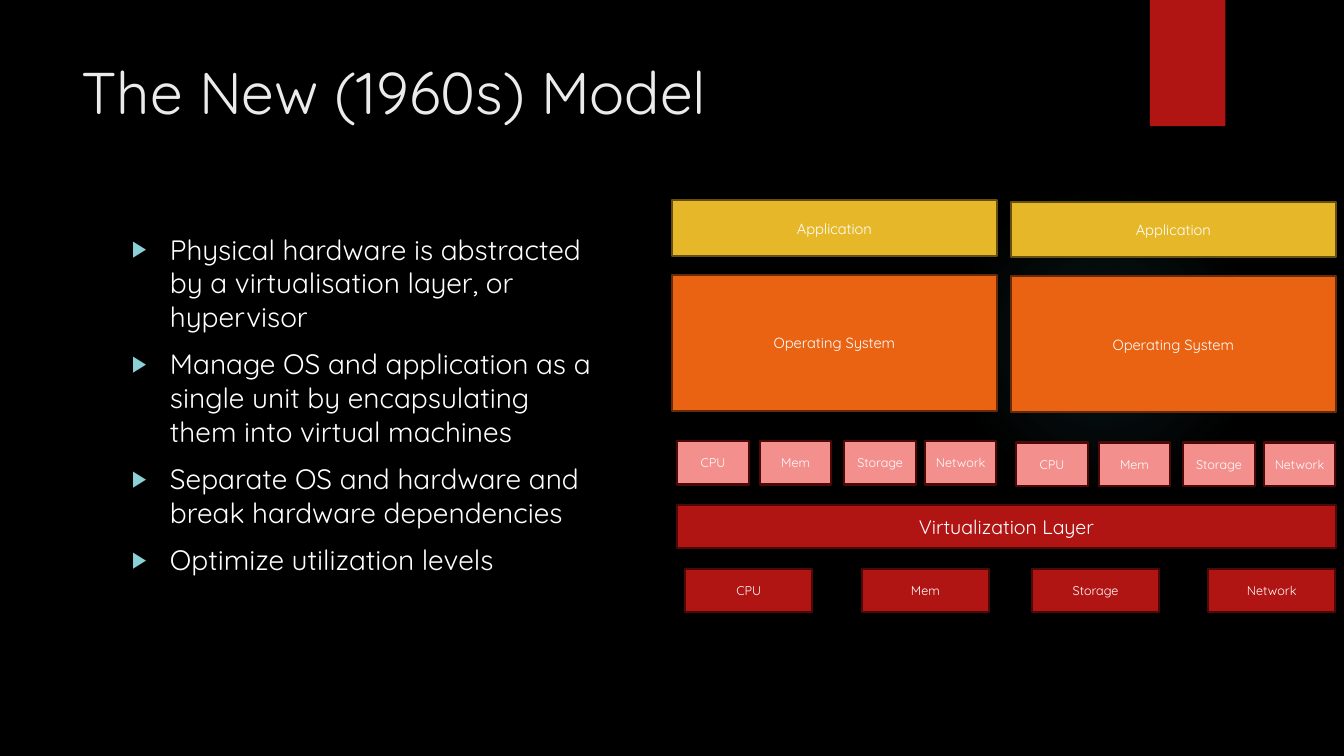
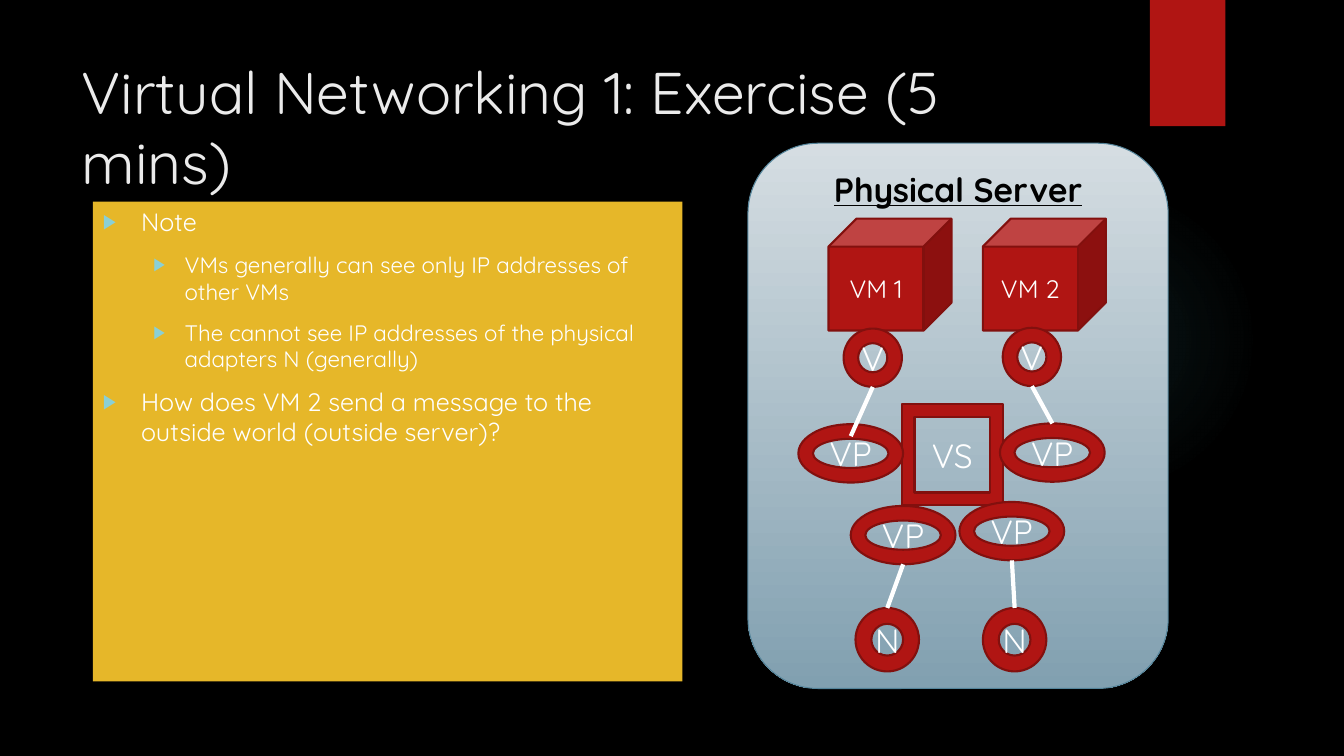
from lxml import etree
from pptx import Presentation
from pptx import util as u
from pptx.dml import color
from pptx.enum import shapes, text
from pptx.oxml import ns

# Shared style
FONT = "Quicksand"
WHITE, BLACK, TITLE = "FFFFFF", "000000", "EBEBEB"
RED, PINK, ORANGE, GOLD = "B01513", "F38F8D", "EA6312", "E6B729"
DARK_RED, DEEP_RED, BROWN, OLIVE = "4D0908", "82100E", "672B08", "655012"
TEAL, BULLET = "50B9C1", "8AD0D6"
MSO = shapes.MSO_SHAPE
TITLE_BOX = (1.8, 1.27, 26.14, 3.89)
RESOURCES = ("CPU", "Mem", "Storage", "Network")
LEVEL_INDENTS = ((0.96, -0.96), (2.06, -0.79))


def rgb(value):
    return color.RGBColor.from_string(value)


def apply(obj, **values):
    for name, value in values.items():
        setattr(obj, name, value)


def box(*lengths):
    return [u.Cm(n) for n in lengths]


def place(sp, *lengths):
    apply(sp, **dict(zip(("left", "top", "width", "height"), box(*lengths))))


def write(p, words, size, hue=WHITE, **extra):
    r = p.add_run()
    r.text = words
    apply(r.font, name=FONT, size=u.Pt(size), **extra)
    r.font.color.rgb = rgb(hue)


# Kinds of element
def add_block(parent, kind, at, fill=None, line=None, width=1.5):
    sp = parent.shapes.add_shape(kind, *box(*at))
    sp.shadow.inherit = False
    if fill:
        sp.fill.solid()
        sp.fill.fore_color.rgb = rgb(fill)
    if line:
        sp.line.color.rgb = rgb(line)
        sp.line.width = u.Pt(width)
    else:
        sp.line.fill.background()
    return sp


def add_label(parent, kind, at, words, size, fill, line):
    sp = add_block(parent, kind, at, fill, line)
    tf = sp.text_frame
    apply(tf, word_wrap=True, vertical_anchor=text.MSO_ANCHOR.MIDDLE,
          margin_left=u.Cm(0.1), margin_right=u.Cm(0.1))
    p = tf.paragraphs[0]
    p.alignment = text.PP_ALIGN.CENTER
    write(p, words, size)
    return sp


def add_link(s, upper, lower, dip=0):
    """Join the bottom of one shape to the top of another."""
    line = s.shapes.add_connector(
        shapes.MSO_CONNECTOR.STRAIGHT,
        upper.left + upper.width // 2, upper.top + upper.height,
        lower.left + lower.width // 2, lower.top + u.Cm(dip))
    line.line.color.rgb = rgb(WHITE)
    line.line.width = u.Pt(3)
    etree.SubElement(line.element.spPr, ns.qn("a:effectLst"))


def set_bullet(p, level):
    pPr = p._p.get_or_add_pPr()
    for name, length in zip(("marL", "indent"), LEVEL_INDENTS[level]):
        pPr.set(name, str(u.Cm(length)))
    clr = etree.SubElement(pPr, ns.qn("a:buClr"))
    etree.SubElement(clr, ns.qn("a:srgbClr"), val=BULLET)
    etree.SubElement(pPr, ns.qn("a:buSzPct"), val="80000")
    etree.SubElement(pPr, ns.qn("a:buChar"), char="▶")


def fill_title(s, words):
    sp = s.shapes.title
    place(sp, *TITLE_BOX)
    tf = sp.text_frame
    apply(tf, word_wrap=True, auto_size=text.MSO_AUTO_SIZE.NONE,
          vertical_anchor=text.MSO_ANCHOR.TOP)
    p = tf.paragraphs[0]
    p.alignment = text.PP_ALIGN.LEFT
    write(p, words, 42, TITLE)


def fill_list(s, at, items, sizes):
    sp = s.placeholders[1]
    place(sp, *at)
    tf = sp.text_frame
    apply(tf, word_wrap=True, auto_size=text.MSO_AUTO_SIZE.NONE,
          vertical_anchor=text.MSO_ANCHOR.TOP)
    for i, (level, words) in enumerate(items):
        p = tf.add_paragraph() if i else tf.paragraphs[0]
        apply(p, level=level, space_before=u.Pt(10))
        set_bullet(p, level)
        write(p, words, sizes[level])
    return sp


def add_glow(s):
    sp = add_block(s, MSO.OVAL, (23.9, 4.65, 7.82, 7.82))
    sp.fill.background()
    grad = etree.Element(ns.qn("a:gradFill"), rotWithShape="1")
    stops = etree.SubElement(grad, ns.qn("a:gsLst"))
    for pos, alpha in ((0, 7), (36, 6), (69, 0)):
        gs = etree.SubElement(stops, ns.qn("a:gs"), pos=str(pos * 1000))
        clr = etree.SubElement(gs, ns.qn("a:srgbClr"), val=TEAL)
        etree.SubElement(clr, ns.qn("a:alpha"), val=str(alpha * 1000))
    circle = etree.SubElement(grad, ns.qn("a:path"), path="circle")
    etree.SubElement(circle, ns.qn("a:fillToRect"),
                     dict.fromkeys("ltrb", "50000"))
    spPr = sp.element.spPr
    spPr.replace(spPr.find(ns.qn("a:noFill")), grad)
    return sp


def decorate(s):
    """Put the glow and the ribbon on the layout that the slides share."""
    ribbon = add_block(s, MSO.RECTANGLE, (28.98, 0, 1.9, 3.18), RED)
    for sp in (ribbon, add_glow(s)):
        s.slide_layout.shapes.element.insert(2, sp.element)


# Slide 1: layers of the virtualised machine
def add_machine(s, x, y):
    group = s.shapes.add_group_shape()
    for dx, name in zip((0.13, 2.21, 4.34, 6.37), RESOURCES):
        add_label(group, MSO.RECTANGLE, (x + dx, y + 6.07, 1.8, 1.09),
                  name, 9, PINK, DARK_RED)
    add_label(group, MSO.RECTANGLE, (x, y + 1.88, 8.18, 3.43),
              "Operating System", 10.5, ORANGE, BROWN)
    add_label(group, MSO.RECTANGLE, (x, y, 8.18, 1.4),
              "Application", 10.5, GOLD, OLIVE)


def build_model(s):
    fill_title(s, "The New (1960s) Model")
    fill_list(s, (3.07, 5.72, 12.22, 11.66), (
        (0, "Physical hardware is abstracted by a virtualisation layer, "
            "or hypervisor"),
        (0, "Manage OS and application as a single unit by encapsulating "
            "them into virtual machines"),
        (0, "Separate OS and hardware and break hardware dependencies"),
        (0, "Optimize utilization levels")), (20,))
    for x, y in ((16.94, 5.05), (25.48, 5.08)):
        add_machine(s, x, y)
    for x, name in zip((17.27, 21.72, 26.01, 30.45), RESOURCES):
        add_label(s, MSO.RECTANGLE, (x, 14.33, 3.2, 1.09),
                  name, 9, RED, DARK_RED)
    add_label(s, MSO.RECTANGLE, (17.07, 12.73, 16.59, 1.09),
              "Virtualization Layer", 14, RED, DARK_RED)


# Slide 2: network inside one server
def add_server(s):
    sp = add_block(s, MSO.ROUNDED_RECTANGLE, (18.85, 3.61, 10.59, 13.74),
                   line="54849A", width=0.75)
    sp.fill.gradient()
    sp.fill.gradient_angle = 270
    for stop, pos, hue in zip(sp.fill.gradient_stops, (0, 1),
                              ("D5DDE2", "81A0B0")):
        stop.position = pos
        stop.color.rgb = rgb(hue)
    tf = sp.text_frame
    apply(tf, word_wrap=True, vertical_anchor=text.MSO_ANCHOR.TOP)
    p = tf.paragraphs[0]
    p.alignment = text.PP_ALIGN.CENTER
    write(p, "Physical Server", 24, BLACK, bold=True, underline=True)
    s.shapes.element.insert(2, sp.element)


def build_exercise(s):
    add_server(s)
    fill_title(s, "Virtual Networking 1: Exercise (5 mins)")
    panel = fill_list(s, (2.34, 5.08, 14.86, 12.09), (
        (0, "Note"),
        (1, "VMs generally can see only IP addresses of other VMs"),
        (1, "The cannot see IP addresses of the physical adapters N "
            "(generally)"),
        (0, "How does VM 2 send a message to the outside world "
            "(outside server)?")), (18, 16))
    panel.fill.solid()
    panel.fill.fore_color.rgb = rgb(GOLD)

    for x, name in ((20.88, "VM 1"), (24.77, "VM 2")):
        add_label(s, MSO.CUBE, (x, 5.51, 3.1, 2.82), name, 18, RED, DEEP_RED)
    add_label(s, MSO.FRAME, (22.73, 10.19, 2.54, 2.54), "VS", 24,
              RED, DEEP_RED)

    def add_rings(name, w, h, *corners):
        return [add_label(s, MSO.DONUT, (x, y, w, h), name, 24, RED, DEEP_RED)
                for x, y in corners]

    adapters = add_rings("V", 1.47, 1.47, (21.26, 8.28), (25.27, 8.26))
    ports = add_rings("VP", 2.64, 1.47, (20.12, 10.69), (25.2, 10.67),
                      (21.44, 12.75), (24.18, 12.65))
    physical = add_rings("N", 1.6, 1.6, (21.56, 15.32), (24.77, 15.32))
    for upper, lower, dip in zip(adapters + ports[2:], ports[:2] + physical,
                                 (0.3, 0, 0, 0)):
        add_link(s, upper, lower, dip)


def main():
    prs = Presentation()
    prs.slide_width, prs.slide_height = box(33.87, 19.05)
    backdrop = prs.slide_master.background.fill
    backdrop.solid()
    backdrop.fore_color.rgb = rgb(BLACK)
    layout = prs.slide_layouts[1]
    model, exercise = [prs.slides.add_slide(layout) for _ in range(2)]
    decorate(model)
    build_model(model)
    build_exercise(exercise)
    prs.save("out.pptx")


if __name__ == "__main__":
    main()
